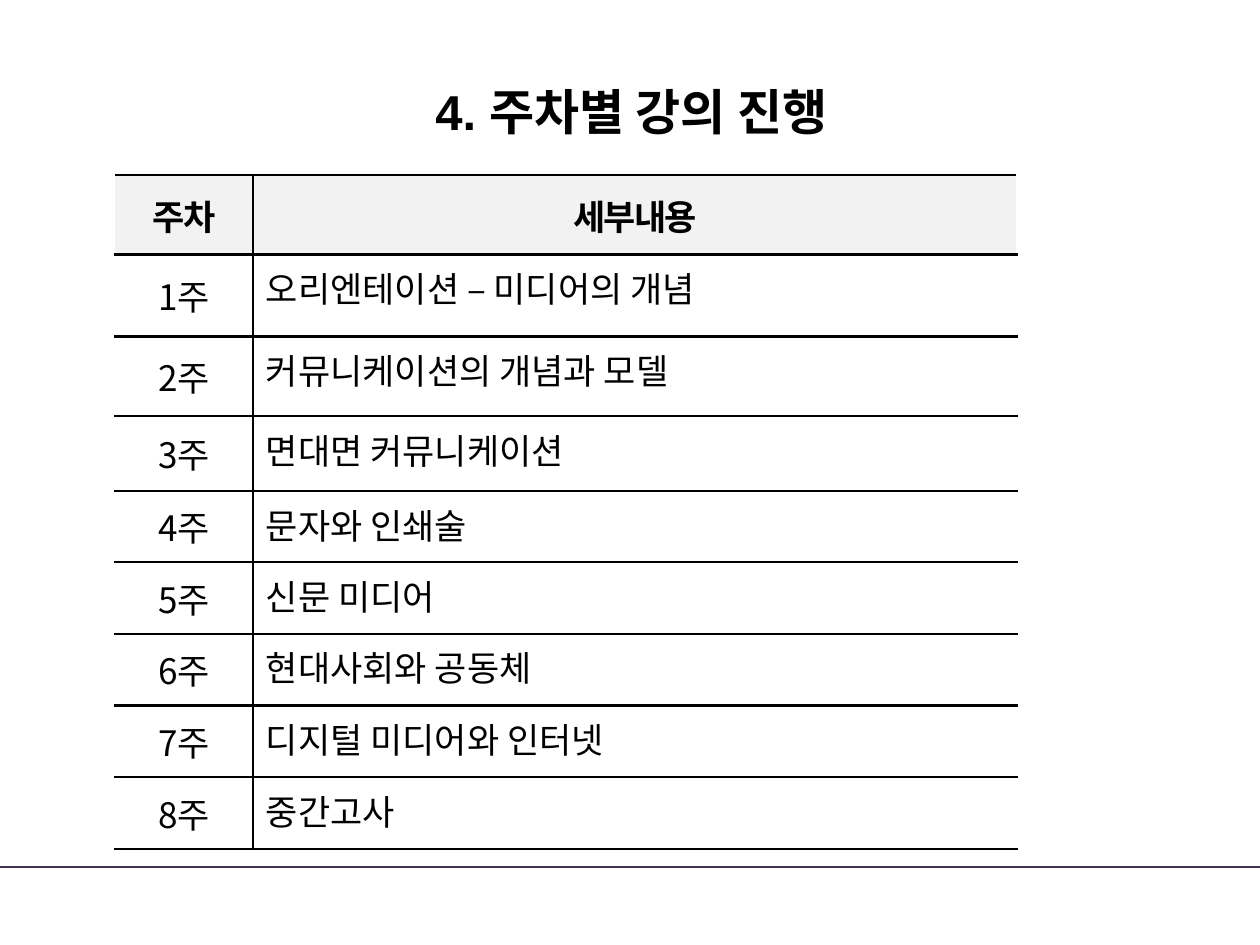
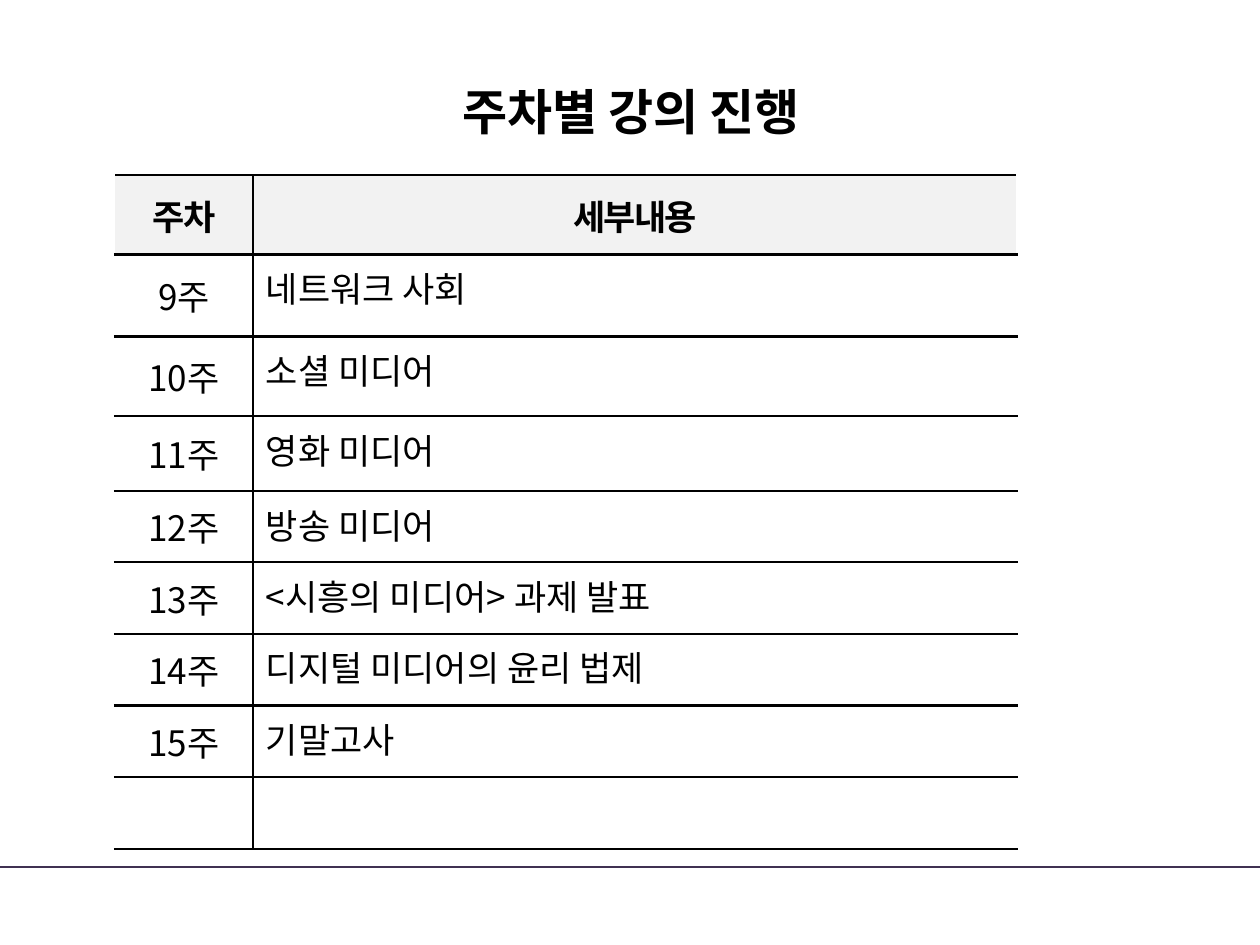
"""Build the two weekly lecture schedule slides."""
import lxml.etree
import pptx
import pptx.dml.color
import pptx.enum.shapes
import pptx.enum.text
import pptx.oxml.ns
import pptx.util

Inches = pptx.util.Inches
Pt = pptx.util.Pt
RGBColor = pptx.dml.color.RGBColor
Align = pptx.enum.text.PP_ALIGN
Anchor = pptx.enum.text.MSO_ANCHOR
qn = pptx.oxml.ns.qn

BLACK = RGBColor(0x00, 0x00, 0x00)
HEADER_GRAY = RGBColor(0xF2, 0xF2, 0xF2)
FOOTER_PURPLE = RGBColor(0x40, 0x31, 0x52)
KOREAN_FONT = "Noto Sans CJK KR"

TITLE_FONT = {"name": "Arial", "size": Pt(28), "bold": True}
HEADER_FONT = {"name": KOREAN_FONT, "size": Pt(20), "bold": True}
BODY_FONT = {"name": KOREAN_FONT, "size": Pt(20), "bold": False}
CELL_MARGINS = {
    "margin_left": Inches(0.04),
    "margin_right": Inches(0.04),
    "margin_top": Inches(0.06),
    "margin_bottom": Inches(0.06),
}
TOPIC_MARGINS = {**CELL_MARGINS, "margin_left": Inches(0.1)}
TITLE_BOX = {
    "left": Inches(0.51),
    "top": Inches(0.38),
    "width": Inches(9),
    "height": Inches(1),
}

COLUMN_WIDTHS = [1.1, 6.06]
ROW_HEIGHTS = [0.63, 0.65, 0.63, 0.6, 0.56] + [0.57] * 4
COLUMN_BORDERS = [("lnR", "lnT", "lnB"), ("lnL", "lnT", "lnB")]
HEADINGS = ("주차", "세부내용")

SCHEDULES = [
    ("4. 주차별 강의 진행", 1, [
        "오리엔테이션 – 미디어의 개념",
        "커뮤니케이션의 개념과 모델",
        "면대면 커뮤니케이션",
        "문자와 인쇄술",
        "신문 미디어",
        "현대사회와 공동체",
        "디지털 미디어와 인터넷",
        "중간고사",
    ]),
    ("주차별 강의 진행", 9, [
        "네트워크 사회",
        "소셜 미디어",
        "영화 미디어",
        "방송 미디어",
        "<시흥의 미디어> 과제 발표",
        "디지털 미디어의 윤리 법제",
        "기말고사",
    ]),
]


def apply_format(target, values):
    """Set each named attribute on the target."""
    for name, value in values.items():
        setattr(target, name, value)


def write_text(text_frame, text, font_format, alignment, spacing=0):
    """Write one formatted paragraph with Latin and Korean fonts."""
    paragraph = text_frame.paragraphs[0]
    paragraph.alignment = alignment
    run = paragraph.add_run()
    run.text = text
    run.font.color.rgb = BLACK
    apply_format(run.font, font_format)
    properties = run.font._element
    lxml.etree.SubElement(properties, qn("a:ea"), typeface=KOREAN_FONT)
    if spacing:
        properties.set("spc", str(spacing))


def add_title(slide, text):
    """Place and fill the title placeholder."""
    title = slide.shapes.title
    apply_format(title, TITLE_BOX)
    title.text_frame.vertical_anchor = Anchor.MIDDLE
    write_text(title.text_frame, text, TITLE_FONT, Align.CENTER)


def add_footer_line(slide):
    """Draw the thin line across the bottom of the slide."""
    line = slide.shapes.add_connector(
        pptx.enum.shapes.MSO_CONNECTOR.STRAIGHT,
        Inches(0), Inches(6.88), Inches(10), Inches(6.88))
    line.line.color.rgb = FOOTER_PURPLE
    line.line.width = Pt(0.75)
    lxml.etree.SubElement(line._element.spPr, qn("a:effectLst"))


def add_borders(cell, sides):
    """Draw solid black borders on the given sides of a cell."""
    properties = cell._tc.get_or_add_tcPr()
    for side in sides:
        border = lxml.etree.SubElement(properties, qn(f"a:{side}"), w=str(Pt(1.41)))
        fill = lxml.etree.SubElement(border, qn("a:solidFill"))
        lxml.etree.SubElement(fill, qn("a:srgbClr"), val=str(BLACK))


def format_cell(cell, row, column):
    """Give a cell its borders, margins, anchor and fill."""
    is_topic = row > 0 and column == 1
    add_borders(cell, COLUMN_BORDERS[column])
    apply_format(cell, TOPIC_MARGINS if is_topic else CELL_MARGINS)
    cell.vertical_anchor = Anchor.TOP if is_topic else Anchor.MIDDLE
    if row == 0:
        cell.fill.solid()
        cell.fill.fore_color.rgb = HEADER_GRAY
    else:
        cell.fill.background()


def add_schedule(slide, first_week, topics):
    """Add the table of weeks and topics."""
    table = slide.shapes.add_table(
        len(ROW_HEIGHTS), len(COLUMN_WIDTHS), Inches(0.91), Inches(1.39),
        Inches(sum(COLUMN_WIDTHS)), Inches(sum(ROW_HEIGHTS))).table
    apply_format(table, {"first_row": False, "horz_banding": False})
    for column, width in zip(table.columns, COLUMN_WIDTHS):
        column.width = Inches(width)
    for row, height in zip(table.rows, ROW_HEIGHTS):
        row.height = Inches(height)
    for row in range(len(ROW_HEIGHTS)):
        for column in range(len(COLUMN_WIDTHS)):
            format_cell(table.cell(row, column), row, column)
    for column, heading in enumerate(HEADINGS):
        write_text(table.cell(0, column).text_frame, heading, HEADER_FONT,
                   Align.CENTER, spacing=-100)
    for row, topic in enumerate(topics, start=1):
        week = f"{first_week + row - 1}주"
        write_text(table.cell(row, 0).text_frame, week, BODY_FONT, Align.CENTER)
        write_text(table.cell(row, 1).text_frame, topic, BODY_FONT, Align.LEFT)


def main():
    """Build and save the presentation."""
    presentation = pptx.Presentation()
    apply_format(presentation, {"slide_width": Inches(10), "slide_height": Inches(7.5)})
    for title, first_week, topics in SCHEDULES:
        slide = presentation.slides.add_slide(presentation.slide_layouts[5])
        add_footer_line(slide)
        add_title(slide, title)
        add_schedule(slide, first_week, topics)
    presentation.save("out.pptx")


if __name__ == "__main__":
    main()
